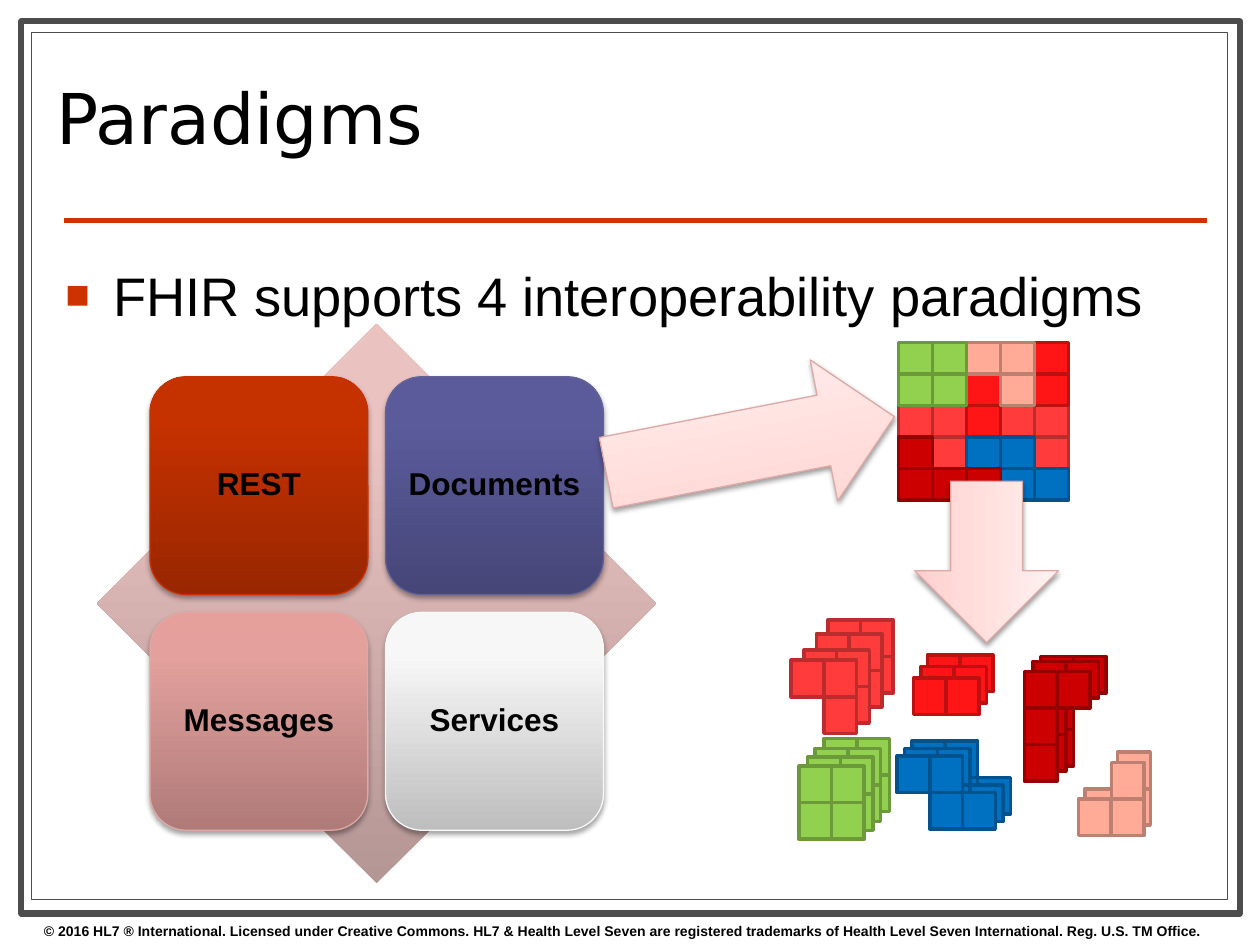
"""Build the slide on the four interoperability paradigms."""
from lxml import etree
from pptx import Presentation
from pptx.dml.color import RGBColor
from pptx.enum.shapes import MSO_CONNECTOR, MSO_SHAPE
from pptx.enum.text import MSO_ANCHOR, PP_ALIGN
from pptx.oxml.ns import qn
from pptx.util import Inches, Pt

RECT, ROUND = MSO_SHAPE.RECTANGLE, MSO_SHAPE.ROUNDED_RECTANGLE
DIAMOND, ARROW = MSO_SHAPE.DIAMOND, MSO_SHAPE.RIGHT_ARROW
LEFT, CENTER, MIDDLE = PP_ALIGN.LEFT, PP_ALIGN.CENTER, MSO_ANCHOR.MIDDLE

HUES = {"white": "FFFFFF", "black": "000000", "frame": "4D4D4D",
        "accent": "CC3300", "arrow": "DEA8A5"}
TITLE = "Paradigms"
POINT = "FHIR supports 4 interoperability paradigms"
LEGAL = ("© 2016 HL7 ® International. Licensed under Creative Commons. "
         "HL7 & Health Level Seven are registered trademarks of "
         "Health Level Seven International. Reg. U.S. TM Office.")
FRAMES = [((0.17, 0.17, 9.67, 7.08), 3.5), ((0.25, 0.26, 9.49, 6.88), 0.75)]

BACK = [(0, "B49695"), (80, "EAC3C1"), (100, "ECC3C1")]
TILES = [
    ("REST", [(0, "982600"), (80, "C63100"), (100, "C73200")], "C83200"),
    ("Documents", [(0, "464678"), (80, "5B5B9C"), (100, "5B5B9E")], "636397"),
    ("Messages", [(0, "AF7B79"), (80, "E3A09D"), (100, "E6A09C")], "DEA8A5"),
    ("Services", [(0, "BEBEBE"), (80, "F7F7F7"), (100, "F8F8F8")], "F9F9F9"),
]
BLUSH = [(0, "FFCECC"), (35, "FFDCDA"), (100, "FFF1F1")]
ARROWS = [((4.79, 2.96, 2.33, 1.14), 349), ((7.19, 3.89, 1.28, 1.14), 90)]

BLOCKS = {"L": ("FF3B3B", "BD2C2C"), "R": ("FF1515", "BD1010"),
          "P": ("FFAB97", "BD7F70"), "G": ("92D050", "6C9A3B"),
          "B": ("0070C0", "00538E"), "D": ("CC0000", "970000")}
MOSAIC = ["GGPPR", "GGRPR", "LLRLL", "DLBBL", "DDDBB"]
STACKS = [
    ("R", ["XX"], [(7.36, 5.2), (7.31, 5.29), (7.25, 5.38)]),
    ("P", [".X", "XX"], [(8.61, 5.97), (8.56, 6.05)]),
    ("B", ["XX.", ".XX"], [(7.24, 5.88), (7.18, 5.94), (7.12, 6)]),
    ("D", ["XX", "X.", "X."], [(8.26, 5.21), (8.2, 5.25), (8.13, 5.33)]),
    ("L", ["XX", ".X"],
     [(6.57, 4.92), (6.48, 5.03), (6.38, 5.16), (6.28, 5.24)]),
    ("G", ["XX", "XX"],
     [(6.54, 5.86), (6.47, 5.94), (6.41, 6.01), (6.34, 6.08)]),
]


def rgb(hue):
    return RGBColor.from_string(hue)


def tint(node, hue):
    return etree.SubElement(node, qn("a:srgbClr"), val=hue)


def shape(kind, box, fill, edge=None, width=0.75):
    item = slide.shapes.add_shape(kind, *map(Inches, box))
    item.shadow.inherit = False
    if isinstance(fill, list):
        item.fill.gradient()
        item.fill.gradient_angle = 90
        stops = item._element.spPr.find(".//" + qn("a:gsLst"))
        for old in list(stops):
            stops.remove(old)
        for pos, hue in fill:
            tint(etree.SubElement(stops, qn("a:gs"), pos=str(pos * 1000)), hue)
    else:
        item.fill.solid()
        item.fill.fore_color.rgb = rgb(fill)
    if edge:
        item.line.color.rgb = rgb(edge)
        item.line.width = Pt(width)
    else:
        item.line.fill.background()
    return item


def shade(item, alpha, dist):
    glow = etree.SubElement(
        item._element.spPr.find(qn("a:effectLst")), qn("a:outerShdw"),
        blurRad=str(Pt(3.1)), dist=str(Pt(dist)), dir="5400000",
        rotWithShape="0")
    etree.SubElement(tint(glow, HUES["black"]), qn("a:alpha"),
                     val=str(alpha * 1000))


def write(frame, text, size, bold=False, align=LEFT, face="Arial"):
    frame.word_wrap = True
    para = frame.paragraphs[0]
    para.text, para.alignment = text, align
    font = para.font
    font.name, font.size, font.bold = face, Pt(size), bold
    font.color.rgb = rgb(HUES["black"])
    return para


def label(box):
    return slide.shapes.add_textbox(*map(Inches, box)).text_frame


def blocks(rows, key, mark, x, y, wide, high):
    for r, row in enumerate(rows):
        for c, cell in enumerate(row):
            if cell == mark:
                box = x + c * wide, y + r * high, wide, high
                shape(RECT, box, *BLOCKS[key], 2)


deck = Presentation()
deck.slide_width, deck.slide_height = Inches(10), Inches(7.5)
slide = deck.slides.add_slide(deck.slide_layouts[5])

for box, width in FRAMES:
    shape(RECT, box, HUES["white"], HUES["frame"], width)
rule = slide.shapes.add_connector(
    MSO_CONNECTOR.STRAIGHT, *map(Inches, (0.51, 1.75, 9.58, 1.75)))
rule.line.color.rgb, rule.line.width = rgb(HUES["accent"]), Pt(3)
etree.SubElement(rule._element.spPr, qn("a:effectLst"))
write(label((0.25, 7.27, 10, 0.23)), LEGAL, 8, True)

title = slide.shapes.title
slide.shapes._spTree.append(title._element)
title.left, title.top, title.width, title.height = map(
    Inches, (0.35, 0.36, 7.17, 1.26))
title.text_frame.vertical_anchor = MIDDLE
write(title.text_frame, TITLE, 40, face="DejaVu Sans").line_spacing = 0.8

body = label((0.42, 2.03, 9.17, 4.87))
props = body.paragraphs[0]._p.get_or_add_pPr()
props.set("marL", str(Inches(0.38)))
props.set("indent", str(-Inches(0.38)))
tint(etree.SubElement(props, qn("a:buClr")), HUES["accent"])
etree.SubElement(props, qn("a:buSzPct"), val="75000")
etree.SubElement(props, qn("a:buFont"), typeface="Arial")
etree.SubElement(props, qn("a:buChar"), char="■")
write(body, POINT, 31)

shape(DIAMOND, (0.77, 2.57, 4.44, 4.44), BACK)
for i, (name, fill, edge) in enumerate(TILES):
    row, col = divmod(i, 2)
    tile = shape(ROUND, (1.19 + col * 1.87, 2.99 + row * 1.87, 1.73, 1.73),
                 fill, edge)
    shade(tile, 35, 1.8)
    text = tile.text_frame
    text.margin_left = text.margin_right = Inches(0.07)
    text.margin_top = text.margin_bottom = Inches(0.07)
    text.vertical_anchor = MIDDLE
    write(text, name, 18, True, CENTER).line_spacing = 0.9

for key in BLOCKS:
    blocks(MOSAIC, key, key, 7.13, 2.72, 0.27, 0.25)
for key, rows, spots in STACKS:
    for x, y in spots:
        blocks(rows, key, "X", x, y, 0.26, 0.29)
for box, turn in ARROWS:
    arrow = shape(ARROW, box, BLUSH, HUES["arrow"])
    arrow.rotation = turn
    shade(arrow, 38, 1.6)

deck.save("out.pptx")
